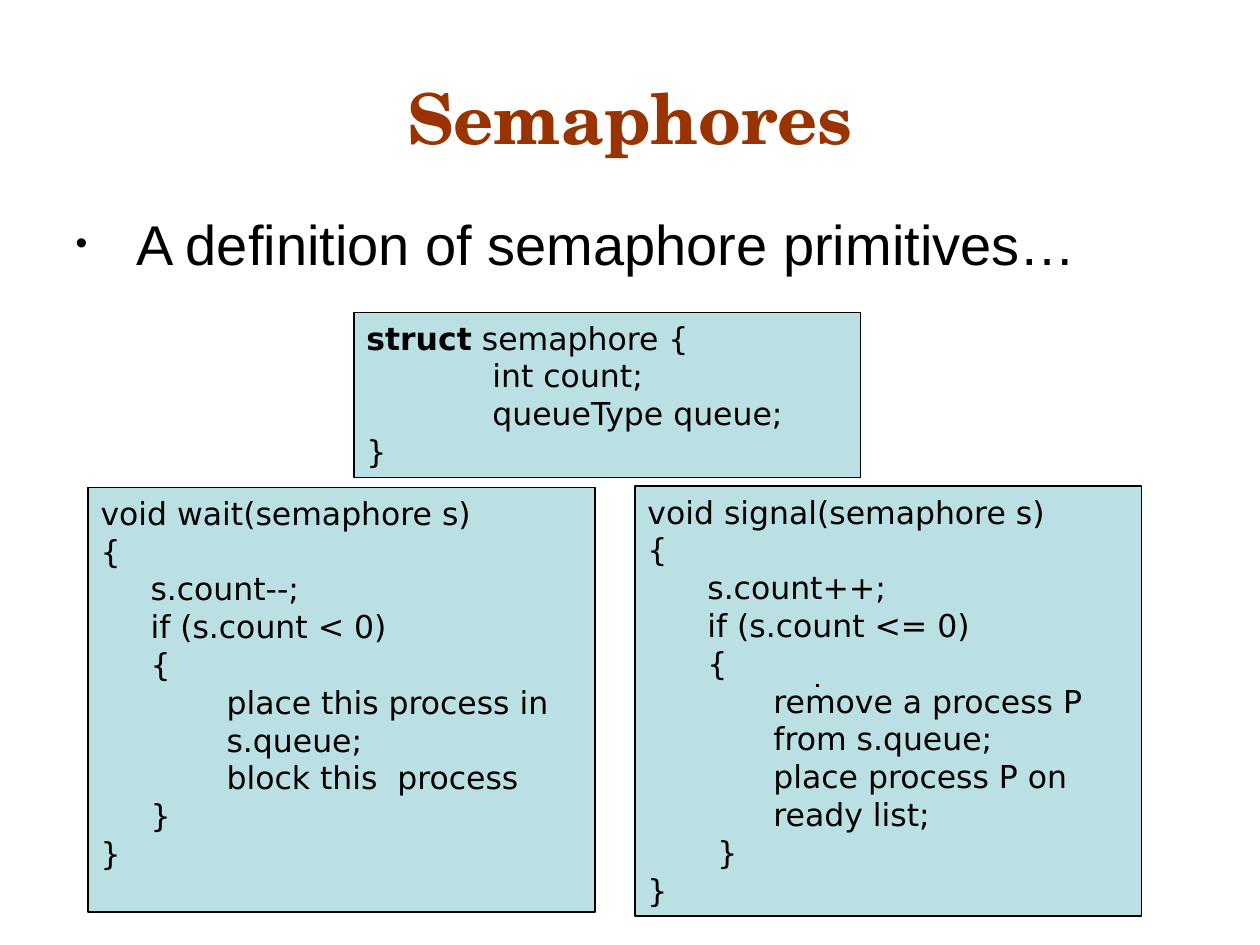
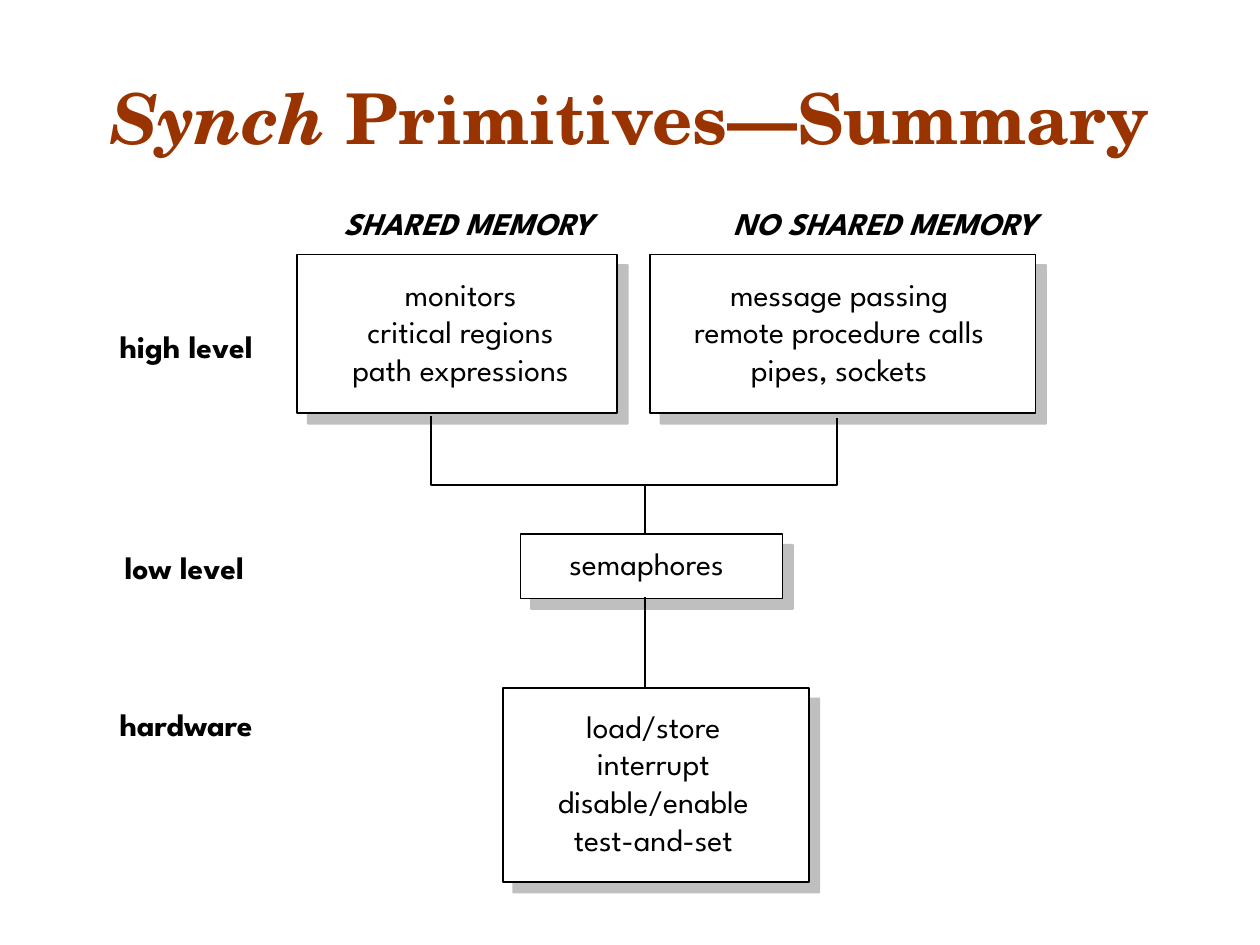
"""Build two slides on semaphores and synchronisation primitives."""
from lxml.etree import SubElement
from pptx import Presentation
from pptx.dml.color import RGBColor
from pptx.enum.shapes import MSO_CONNECTOR, MSO_SHAPE
from pptx.enum.text import MSO_ANCHOR, MSO_AUTO_SIZE, PP_ALIGN
from pptx.oxml.ns import qn
from pptx.util import Inches, Pt

HUES = {"title": "993300", "ink": "000000", "code": "BBE0E3",
        "paper": "FFFFFF", "shade": "808080"}
FONTS = {"title": "TeX Gyre Schola", "body": "Arial",
         "code": "DejaVu Sans", "chart": "League Spartan"}
TITLE = (0.5, 0.3, 9, 1.25)
BODY = (0.5, 1.61, 9, 4.95)
INDENT = 0.48
TABS = range(1, 8)

POINT = "A definition of semaphore primitives…"
CODE = [
    ((0.7, 3.87, 4.02, 3.37), [
        "void wait(semaphore s)",
        "{",
        "     s.count--;",
        "     if (s.count < 0)",
        "     {",
        "\tplace this process in",
        "\ts.queue;",
        "\tblock this  process",
        "     }",
        "}"]),
    ((5.04, 3.86, 4.02, 3.41), [
        "void signal(semaphore s)",
        "{",
        "      s.count++;",
        "      if (s.count <= 0)",
        "      {",
        "\tremove a process P",
        "\tfrom s.queue;",
        "\tplace process P on",
        "\tready list;",
        "       }",
        "}"]),
    ((2.81, 2.48, 4.02, 1.31), [
        [("struct", "b"), (" semaphore {", "")],
        "\tint count;",
        "\tqueueType queue;",
        "}"]),
]
DOT = [(6.48, 5.44), (6.5, 5.44)]

FRAMES = [(5.16, 2.02, 3.06, 1.26), (2.36, 2.02, 2.54, 1.26),
          (4.13, 4.24, 2.08, 0.51), (3.99, 5.46, 2.43, 1.54)]
LISTS = [
    ((2.55, 2.13, 2.21, 1), ["monitors", "critical regions", "path expressions"]),
    ((5.2, 2.13, 2.92, 1),
     ["message passing", "remote procedure calls", "pipes, sockets"]),
    ((4.11, 5.56, 2.15, 1.3),
     ["load/store", "interrupt disable/enable", "test-and-set"]),
]
LABELS = [
    ((4.42, 4.27, 2.59, 0.4), "semaphores", ""),
    ((0.85, 5.55, 1.42, 0.4), "hardware", "b"),
    ((0.89, 4.3, 1.3, 0.4), "low level", "b"),
    ((0.85, 2.55, 1.42, 0.4), "high level", "b"),
    ((2.63, 1.57, 2.24, 0.4), "SHARED MEMORY", "bi"),
    ((5.72, 1.57, 2.68, 0.4), "NO SHARED MEMORY", "bi"),
]
STEM = 5.12
STEMS = [(5.46, 4.74), (4.24, 3.85)]
FORK = [(3.42, 3.3), (3.42, 3.85), (6.64, 3.85), (6.64, 3.32)]


def hue(name):
    return RGBColor.from_string(HUES[name])


def place(shape, box):
    shape.left, shape.top, shape.width, shape.height = map(Inches, box)


def write(frame, lines, font, size, color="ink", align=PP_ALIGN.LEFT):
    for num, line in enumerate(lines):
        para = frame.add_paragraph() if num else frame.paragraphs[0]
        para.alignment = align
        for text, style in [(line, "")] if isinstance(line, str) else line:
            run = para.add_run()
            run.text = text
            run.font.name = FONTS[font]
            run.font.size = Pt(size)
            run.font.bold = "b" in style
            run.font.italic = "i" in style
            run.font.color.rgb = hue(color)


def start(deck, layout, title):
    slide = deck.slides.add_slide(deck.slide_layouts[layout])
    shape = slide.shapes.title
    place(shape, TITLE)
    frame = shape.text_frame
    frame.auto_size = MSO_AUTO_SIZE.NONE
    frame.vertical_anchor = MSO_ANCHOR.MIDDLE
    write(frame, [title], "title", 40, "title", PP_ALIGN.CENTER)
    return slide


def bullet(para):
    props = para._p.get_or_add_pPr()
    props.set("marL", str(Inches(INDENT)))
    props.set("indent", str(-Inches(INDENT)))
    tint = SubElement(props, qn("a:buClr"))
    SubElement(tint, qn("a:srgbClr"), val=HUES["ink"])
    SubElement(props, qn("a:buSzPct"), val="60000")
    SubElement(props, qn("a:buFont"), typeface=FONTS["body"])
    SubElement(props, qn("a:buChar"), char="•")
    para.space_before = Pt(0)


def set_tabs(para):
    stops = SubElement(para._p.get_or_add_pPr(), qn("a:tabLst"))
    for tab in TABS:
        SubElement(stops, qn("a:tab"), pos=str(Inches(tab)), algn="l")


def panel(slide, box, fill):
    shape = slide.shapes.add_shape(MSO_SHAPE.RECTANGLE, *map(Inches, box))
    shape.shadow.inherit = False
    shape.fill.solid()
    shape.fill.fore_color.rgb = hue(fill)
    shape.line.color.rgb = hue("ink")
    shape.line.width = Pt(1)
    return shape


def shade(shape):
    effects = shape._element.spPr.find(qn("a:effectLst"))
    outer = SubElement(effects, qn("a:outerShdw"), blurRad="0",
                       dist=str(Pt(8.5)), dir=str(45 * 60000),
                       algn="ctr", rotWithShape="0")
    tint = SubElement(outer, qn("a:srgbClr"), val=HUES["shade"])
    SubElement(tint, qn("a:alpha"), val="50000")


def trace(slide, points, width):
    first, *rest = [tuple(map(Inches, point)) for point in points]
    build = slide.shapes.build_freeform(*first)
    build.add_line_segments(rest, close=False)
    shape = build.convert_to_shape()
    shape.shadow.inherit = False
    shape.fill.background()
    shape.line.color.rgb = hue("ink")
    shape.line.width = Pt(width)


def stem(slide, top, end):
    line = slide.shapes.add_connector(
        MSO_CONNECTOR.STRAIGHT, *map(Inches, (STEM, top, STEM, end)))
    line.line.color.rgb = hue("ink")
    line.line.width = Pt(1)
    SubElement(line._element.spPr, qn("a:effectLst"))


def label(slide, box, lines, align=PP_ALIGN.LEFT, wrap=False):
    frame = slide.shapes.add_textbox(*map(Inches, box)).text_frame
    frame.word_wrap = wrap
    frame.auto_size = MSO_AUTO_SIZE.SHAPE_TO_FIT_TEXT
    write(frame, lines, "chart", 18, align=align)


def define(deck):
    slide = start(deck, 1, [("Semaphores", "b")])
    body = slide.placeholders[1]
    place(body, BODY)
    frame = body.text_frame
    frame.auto_size = MSO_AUTO_SIZE.NONE
    bullet(frame.paragraphs[0])
    write(frame, [POINT], "body", 32)
    for box, lines in CODE:
        frame = panel(slide, box, "code").text_frame
        frame.word_wrap = True
        frame.vertical_anchor = MSO_ANCHOR.TOP
        write(frame, lines, "code", 18)
        for para in frame.paragraphs:
            set_tabs(para)
    trace(slide, DOT, 1.5)


def recap(deck):
    slide = start(deck, 5, [("Synch", "bi"), (" Primitives—Summary", "b")])
    for box in FRAMES:
        shade(panel(slide, box, "paper"))
    for box, lines in LISTS:
        label(slide, box, lines, PP_ALIGN.CENTER, True)
    for box, text, style in LABELS:
        label(slide, box, [[(text, style)]], wrap=not style)
    for ends in STEMS:
        stem(slide, *ends)
    trace(slide, FORK, 1)


def main():
    deck = Presentation()
    deck.slide_width, deck.slide_height = Inches(10), Inches(7.5)
    define(deck)
    recap(deck)
    deck.save("out.pptx")


if __name__ == "__main__":
    main()
